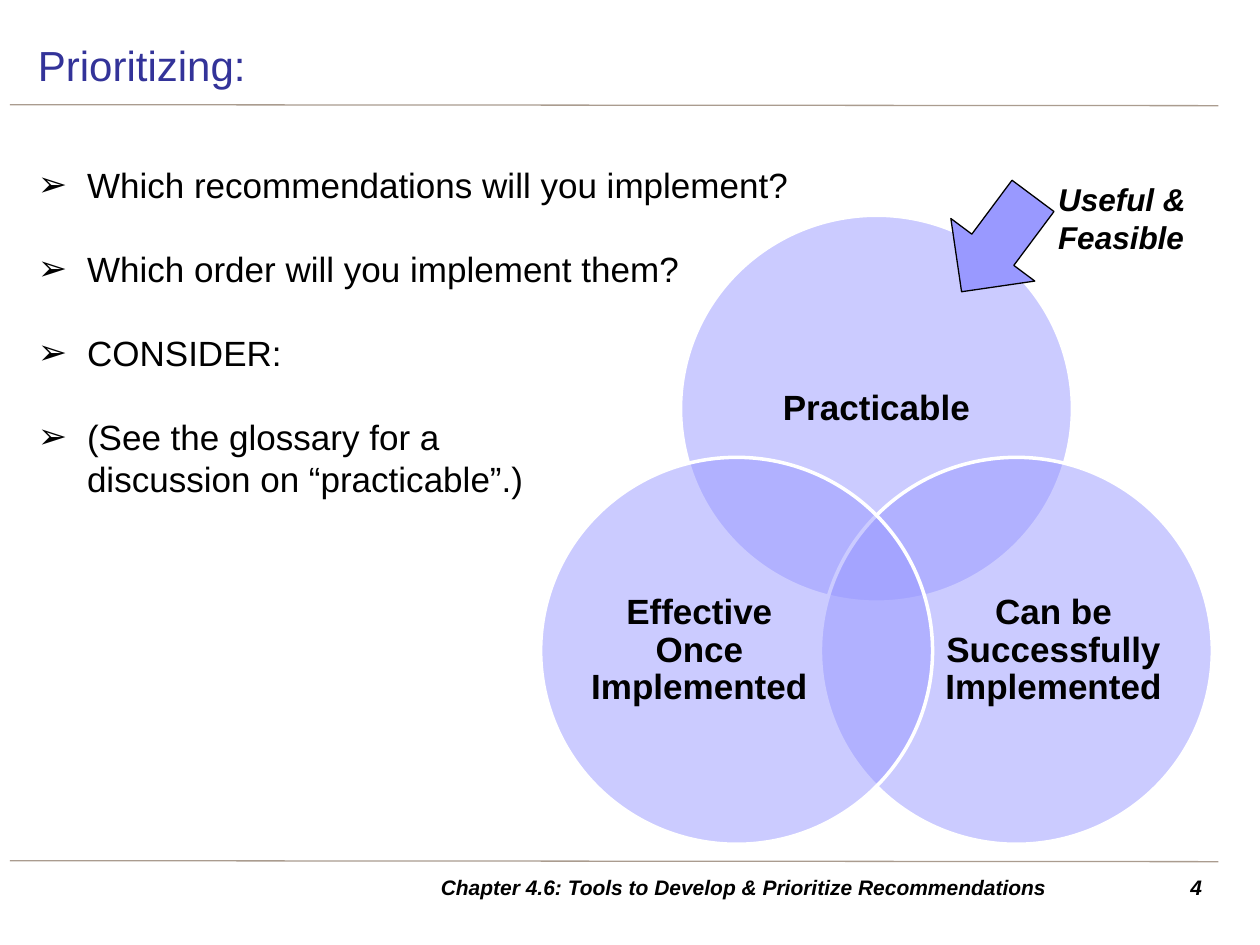
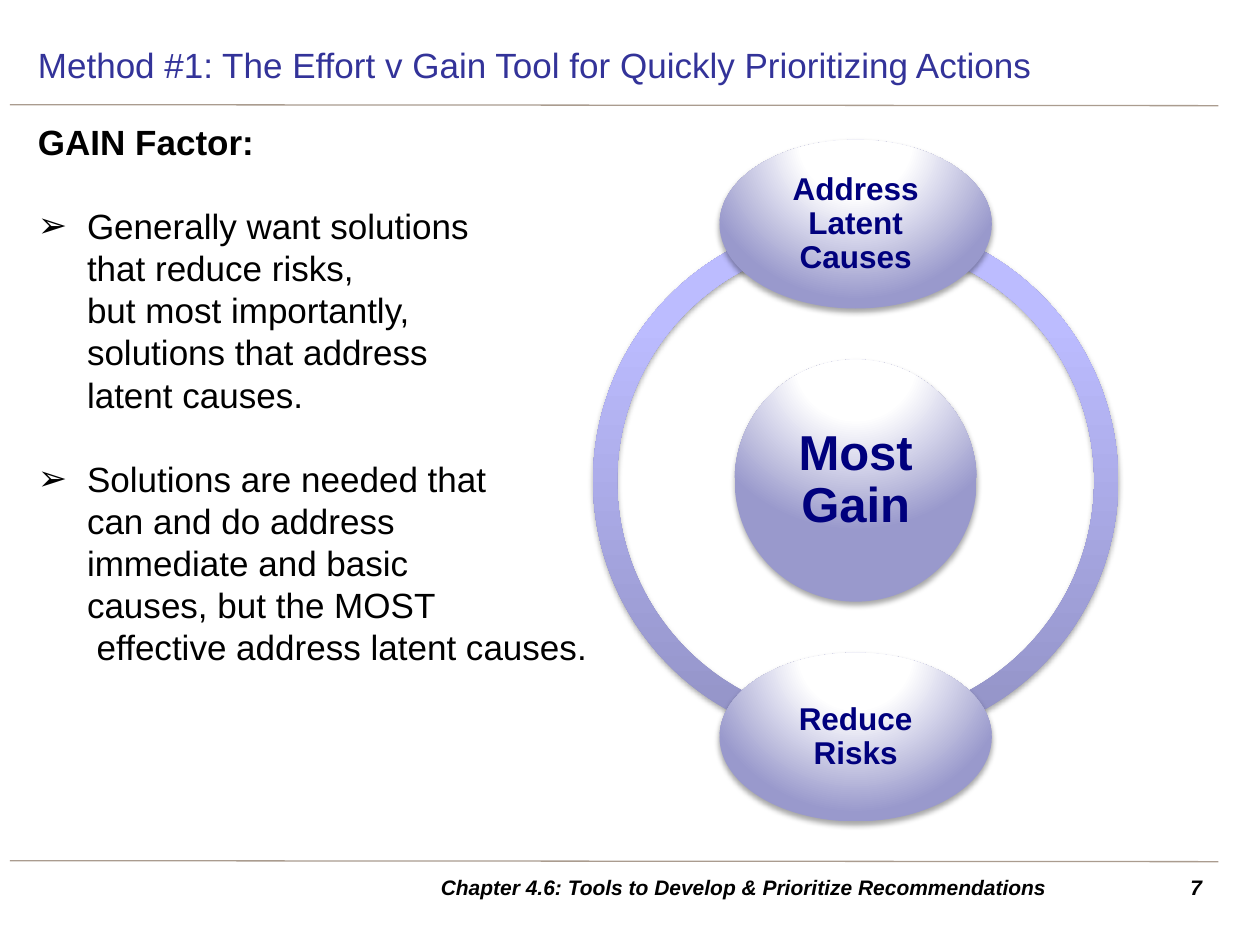
from lxml import etree
from pptx import Presentation
from pptx.dml.color import RGBColor
from pptx.enum import shapes, text
from pptx.oxml import ns, parse_xml
from pptx.util import Cm, Pt

FONT = "Arial"
BLACK, WHITE = "000000", "FFFFFF"
TITLE_BLUE, NAVY, LILAC, RULE = "333399", "00007D", "9999FF", "AA9C8F"
RING_STOPS = [(0, "9191C4"), (80, "BCBCFF"), (100, "BEBEFF")]
BALL_STOPS = [(0, WHITE), (35, WHITE), (100, "9999CC")]
UPWARD = '<a:lin ang="16200000" scaled="0"/>'
FROM_ABOVE = ('<a:path path="circle"><a:fillToRect l="50000" t="-80000" '
              'r="50000" b="180000"/></a:path>')
FOOTER = "Chapter 4.6: Tools to Develop & Prioritize Recommendations"
LINE_GAP = Pt(24)


def color(value):
    return RGBColor.from_string(value)


def child(parent, tag, **attributes):
    return etree.SubElement(parent, ns.qn(tag), attributes)


class Deck:
    def __init__(self):
        self.deck = Presentation()
        self.deck.slide_width, self.deck.slide_height = Cm(25.4), Cm(19.05)
        self.page = None

    def new_page(self, title, size, number):
        self.page = self.deck.slides.add_slide(self.deck.slide_layouts[1])
        for top in (2.11, 17.35):
            self.rule(top)
        box = self.page.shapes.title
        self.place(box, 0.51, 0.61, 24, 1.4)
        box.text_frame.text = title
        box.text_frame.vertical_anchor = text.MSO_ANCHOR.MIDDLE
        self.format(box.text_frame, size, TITLE_BLUE, bold=False)
        self.label(str(number), 23.01, 17.5, 1.47, 0.79, 12, text.PP_ALIGN.RIGHT)
        self.label(FOOTER, 7.49, 17.5, 15.01, 0.79, 12, text.PP_ALIGN.CENTER)

    def place(self, box, left, top, width, height):
        box.left, box.top = Cm(left), Cm(top)
        box.width, box.height = Cm(width), Cm(height)
        box.text_frame.auto_size = text.MSO_AUTO_SIZE.NONE

    def format(self, frame, size, ink=BLACK, bold=True, italic=False,
               align=text.PP_ALIGN.LEFT):
        for paragraph in frame.paragraphs:
            paragraph.alignment = align
            for span in paragraph.runs:
                span.font.name, span.font.size = FONT, Pt(size)
                span.font.bold, span.font.italic = bold, italic
                span.font.color.rgb = color(ink)

    def rule(self, top):
        line = self.page.shapes.add_connector(
            shapes.MSO_CONNECTOR.STRAIGHT, Cm(0.2), Cm(top), Cm(24.56), Cm(top + 0.02))
        line.line.color.rgb, line.line.width = color(RULE), Pt(0.75)
        child(line._element.spPr, "a:effectLst")

    def label(self, words, left, top, width, height, size, align=text.PP_ALIGN.LEFT):
        box = self.page.shapes.add_textbox(Cm(left), Cm(top), Cm(width), Cm(height))
        box.text_frame.word_wrap = True
        box.text_frame.text = words
        self.format(box.text_frame, size, italic=True, align=align)

    def body(self, bullets, heading=None):
        """Fill the list; without a heading it starts one line lower."""
        box = self.page.placeholders[1]
        self.place(box, 0.51, 2.31, 24, 14.81)
        frame = box.text_frame
        if heading is None:
            frame.margin_top = Cm(0.13) + LINE_GAP
        lines = ([heading] if heading else []) + bullets
        for index, words in enumerate(lines):
            paragraph = frame.paragraphs[0] if index == 0 else frame.add_paragraph()
            paragraph.text = words
            properties = paragraph._p.get_or_add_pPr()
            indent = 0 if words == heading else Cm(0.99)
            properties.set("marL", str(indent))
            properties.set("indent", str(-indent))
            if words == heading:
                child(properties, "a:buNone")
            else:
                child(properties, "a:buChar", char="➢")
            paragraph.space_before = LINE_GAP if index else Pt(0)
        self.format(frame, 20, bold=False)
        if heading:
            for span in frame.paragraphs[0].runs:
                span.font.bold = True

    def shape(self, kind, left, top, width, height, fill, outline=None, weight=0.75):
        box = self.page.shapes.add_shape(kind, Cm(left), Cm(top), Cm(width), Cm(height))
        box.shadow.inherit = False
        box.fill.solid()
        box.fill.fore_color.rgb = color(fill)
        if outline:
            box.line.color.rgb, box.line.width = color(outline), Pt(weight)
        else:
            box.line.fill.background()
        return box

    def oval(self, words, center_x, center_y, width, height, size, ink,
             fill, outline=None, shift=0):
        """Draw a captioned ellipse; shift moves the caption sideways."""
        box = self.shape(shapes.MSO_SHAPE.OVAL, center_x - width / 2,
                         center_y - height / 2, width, height, fill, outline, 2)
        frame = box.text_frame
        frame.text = words
        frame.word_wrap = False
        frame.vertical_anchor = text.MSO_ANCHOR.MIDDLE
        frame.margin_top = frame.margin_bottom = 0
        frame.margin_left = Cm(max(2 * shift, 0))
        frame.margin_right = Cm(max(-2 * shift, 0))
        self.format(frame, size, ink, align=text.PP_ALIGN.CENTER)
        frame.paragraphs[0].line_spacing = 0.9
        return box

    def translucent(self, box, percent):
        tint = box._element.spPr.find(ns.qn("a:solidFill"))[0]
        child(tint, "a:alpha", val=str(percent * 1000))

    def glossy(self, box, stops, direction):
        """Give a shape a gradient and a soft shadow below."""
        properties = box._element.spPr
        marks = "".join(f'<a:gs pos="{place * 1000}"><a:srgbClr val="{tint}"/></a:gs>'
                        for place, tint in stops)
        gradient = parse_xml(f'<a:gradFill {ns.nsdecls("a")} rotWithShape="1">'
                             f'<a:gsLst>{marks}</a:gsLst>{direction}</a:gradFill>')
        properties.replace(properties.find(ns.qn("a:solidFill")), gradient)
        shadow = child(properties.find(ns.qn("a:effectLst")), "a:outerShdw",
                       blurRad="40000", dist="23000", dir="5400000", rotWithShape="0")
        tint = child(shadow, "a:srgbClr", val=BLACK)
        child(tint, "a:alpha", val="35000")


def prioritizing(deck):
    deck.new_page("Prioritizing:", 24, 4)
    deck.body(["Which recommendations will you implement?",
               "Which order will you implement them?",
               "CONSIDER:",
               "(See the glossary for a\vdiscussion on “practicable”.)"])
    middle, spread = 17.67, 2.82
    for words, side, center_y in (
            ("Practicable", 0, 8.24),
            ("Can be\vSuccessfully\vImplemented", 1, 13.12),
            ("Effective\vOnce\vImplemented", -1, 13.12)):
        circle = deck.oval(words, middle + side * spread, center_y, 7.9, 7.8, 20,
                           BLACK, LILAC, WHITE, side * 0.75)
        deck.translucent(circle, 50)
    arrow = deck.shape(shapes.MSO_SHAPE.LEFT_ARROW, 18.9, 3.86, 2.41, 2.11, LILAC, BLACK)
    arrow.rotation = 306.7
    deck.label("Useful & Feasible", 21.08, 3.51, 4.3, 1.8, 18)


def effort_and_gain(deck):
    deck.new_page("Method #1: The Effort v Gain Tool for Quickly Prioritizing Actions", 20, 7)
    deck.body(["Generally want solutions\vthat reduce risks,\vbut most importantly,\v"
               "solutions that address\vlatent causes.",
               "Solutions are needed that\vcan and do address\vimmediate and basic\v"
               "causes, but the MOST\v effective address latent causes."],
              heading="GAIN Factor:")
    center_x, center_y, ring, reach = 17.25, 9.69, 10.59, 5.17
    for start, end in ((54, 162), (162, 54)):
        arc = deck.shape(shapes.MSO_SHAPE.BLOCK_ARC, center_x - ring / 2,
                         center_y - ring / 2, ring, ring, LILAC)
        for index, value in enumerate((start, end, 0.046)):
            arc.adjustments[index] = value
        deck.glossy(arc, RING_STOPS, UPWARD)
    for words, offset, width, height, size in (
            ("Most\vGain", 0, 4.88, 4.88, 28),
            ("Address\vLatent\vCauses", -reach, 5.49, 3.4, 18),
            ("Reduce\vRisks", reach, 5.49, 3.4, 18)):
        ball = deck.oval(words, center_x, center_y + offset, width, height, size,
                         NAVY, WHITE)
        deck.glossy(ball, BALL_STOPS, FROM_ABOVE)


def main():
    deck = Deck()
    prioritizing(deck)
    effort_and_gain(deck)
    deck.deck.save("out.pptx")


if __name__ == "__main__":
    main()
